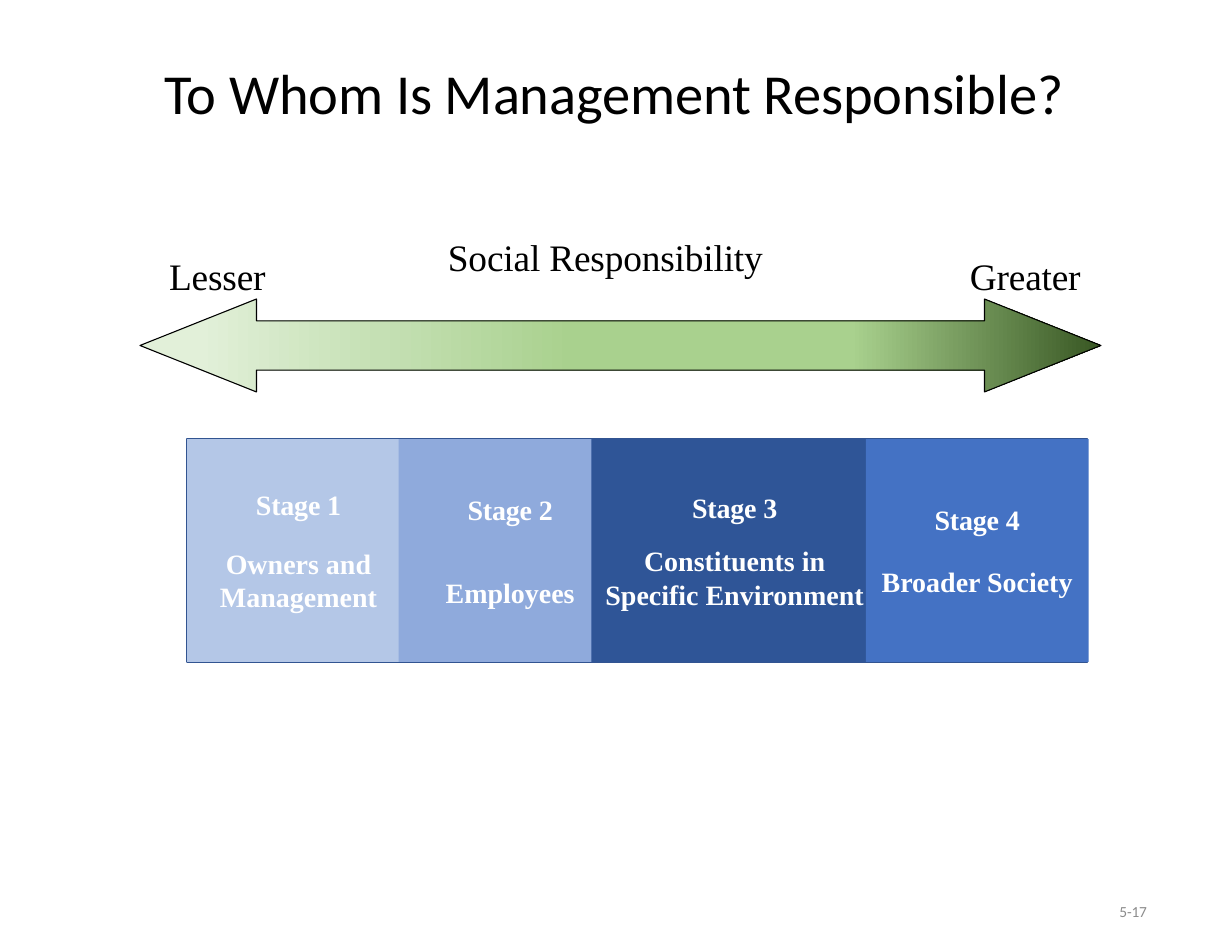
from lxml import etree
from pptx import Presentation
from pptx.dml.color import RGBColor
from pptx.enum.shapes import MSO_SHAPE
from pptx.enum.text import MSO_ANCHOR, PP_ALIGN
from pptx.oxml.ns import qn
from pptx.util import Inches, Pt

RECTANGLE = MSO_SHAPE.RECTANGLE
DOUBLE_ARROW = MSO_SHAPE.LEFT_RIGHT_ARROW
TOP, MIDDLE = MSO_ANCHOR.TOP, MSO_ANCHOR.MIDDLE
LEFT, CENTER, RIGHT = PP_ALIGN.LEFT, PP_ALIGN.CENTER, PP_ALIGN.RIGHT

BLACK = RGBColor(0x00, 0x00, 0x00)
WHITE = RGBColor(0xFF, 0xFF, 0xFF)
GRAY = RGBColor(0x8C, 0x8C, 0x8C)
BAND_FILL = RGBColor(0x00, 0x70, 0xC0)
BAND_LINE = RGBColor(0x32, 0x54, 0x91)
PALE_BLUE = RGBColor(0xB4, 0xC7, 0xE7)
LIGHT_BLUE = RGBColor(0x8F, 0xAA, 0xDC)
DARK_BLUE = RGBColor(0x2F, 0x55, 0x97)
MEDIUM_BLUE = RGBColor(0x44, 0x72, 0xC4)
PALE_GREEN = RGBColor(0xE2, 0xF0, 0xD9)
SOFT_GREEN = RGBColor(0xC5, 0xE0, 0xB4)
LIGHT_GREEN = RGBColor(0xA9, 0xD1, 0x8E)
DARK_GREEN = RGBColor(0x38, 0x57, 0x23)

ARROW_STOPS = [
    (6, PALE_GREEN),
    (25, SOFT_GREEN),
    (45, LIGHT_GREEN),
    (74, LIGHT_GREEN),
    (100, DARK_GREEN),
]
TITLE_FONT = {"name": "Calibri", "size": Pt(36.3), "color": BLACK}
NUMBER_FONT = {"name": "Calibri", "size": Pt(9.9), "color": GRAY}
SCALE_FONT = {"name": "Times New Roman", "size": Pt(24), "color": BLACK}
STAGE_FONT = {"name": "Times New Roman", "size": Pt(18), "bold": True, "color": WHITE}

STAGES = [
    (0, 1.99, PALE_BLUE, "Stage 1", "Owners and Management", 16),
    (1.89, 1.99, LIGHT_BLUE, "Stage 2", "Employees", 32),
    (3.61, 2.56, DARK_BLUE, "Stage 3", "Constituents in Specific Environment", 12.6),
    (6.06, 1.99, MEDIUM_BLUE, "Stage 4", "Broader Society", 18.4),
]


def add_text(paragraph, text, font, spacing=0):
    run = paragraph.add_run()
    run.text = text
    for name, value in font.items():
        if name == "color":
            run.font.color.rgb = value
        else:
            setattr(run.font, name, value)
    if spacing:
        run._r.get_or_add_rPr().set("spc", str(round(spacing * 100)))


def add_label(slide, box, text, font, alignment=LEFT, anchor=TOP):
    text_box = slide.shapes.add_textbox(*map(Inches, box))
    frame = text_box.text_frame
    settings = {
        "word_wrap": alignment != LEFT,
        "vertical_anchor": anchor,
        "margin_left": Inches(0.01) if alignment == LEFT else 0,
        "margin_top": Inches(0.02) if alignment == LEFT else 0,
        "margin_right": 0,
        "margin_bottom": 0,
    }
    for name, value in settings.items():
        setattr(frame, name, value)
    paragraph = frame.paragraphs[0]
    paragraph.alignment = alignment
    add_text(paragraph, text, font, -0.1)
    return paragraph


def add_block(slide, box, color):
    block = slide.shapes.add_shape(RECTANGLE, *map(Inches, box))
    block.shadow.inherit = False
    block.fill.solid()
    block.fill.fore_color.rgb = color
    block.line.fill.background()
    return block


def fill_gradient(shape, stops):
    shape.fill.gradient()
    shape.fill.gradient_angle = 0
    stop_list = shape._element.spPr.find(qn("a:gradFill")).find(qn("a:gsLst"))
    for stop in list(stop_list):
        stop_list.remove(stop)
    for position, color in stops:
        stop = etree.SubElement(stop_list, qn("a:gs"), pos=str(position * 1000))
        etree.SubElement(stop, qn("a:srgbClr"), val=str(color))


def add_scale(slide, box):
    left, top, width, height = box
    labels = [
        (2.74, 0, 2.87, "Social Responsibility"),
        (0.25, 0.17, 0.9, "Lesser"),
        (7.4, 0.17, 1.03, "Greater"),
    ]
    for offset_x, offset_y, label_width, text in labels:
        label_box = (left + offset_x, top + offset_y, label_width, 0.43)
        add_label(slide, label_box, text, SCALE_FONT)
    arrow_height = 0.83
    arrow_top = top + height - arrow_height
    arrow_box = (left, arrow_top, width, arrow_height)
    arrow = slide.shapes.add_shape(DOUBLE_ARROW, *map(Inches, arrow_box))
    arrow.adjustments[0] = 0.44 / arrow_height
    arrow.adjustments[1] = 1.04 / arrow_height
    arrow.shadow.inherit = False
    fill_gradient(arrow, ARROW_STOPS)
    arrow.line.color.rgb = BLACK
    arrow.line.width = Pt(0.72)


def add_stages(slide, box):
    left, top, width, height = box
    band = add_block(slide, box, BAND_FILL)
    band.line.color.rgb = BAND_LINE
    band.line.width = Pt(1)
    for offset, stage_width, color, heading, audience, gap in STAGES:
        block = add_block(slide, (left + offset, top, stage_width, height), color)
        frame = block.text_frame
        frame.word_wrap = True
        frame.vertical_anchor = MIDDLE
        title = frame.paragraphs[0]
        detail = frame.add_paragraph()
        detail.space_before = Pt(gap)
        for paragraph, text, spacing in ((title, heading, -0.1), (detail, audience, 0)):
            paragraph.alignment = CENTER
            add_text(paragraph, text, STAGE_FONT, spacing)


def main():
    presentation = Presentation()
    presentation.slide_width = Inches(11)
    presentation.slide_height = Inches(8.5)
    slide = presentation.slides.add_slide(presentation.slide_layouts[6])
    add_label(slide, (1.46, 0.5, 8.08, 0.63), "To Whom Is Management Responsible?",
              TITLE_FONT, anchor=MIDDLE)
    number = add_label(slide, (7.64, 7.98, 2.6, 0.23), "5-17", NUMBER_FONT, RIGHT, MIDDLE)
    number.line_spacing = Pt(18.4)
    add_scale(slide, (1.25, 2.07, 8.58, 1.43))
    add_stages(slide, (1.67, 3.92, 8.04, 1.99))
    presentation.save("out.pptx")


if __name__ == "__main__":
    main()
